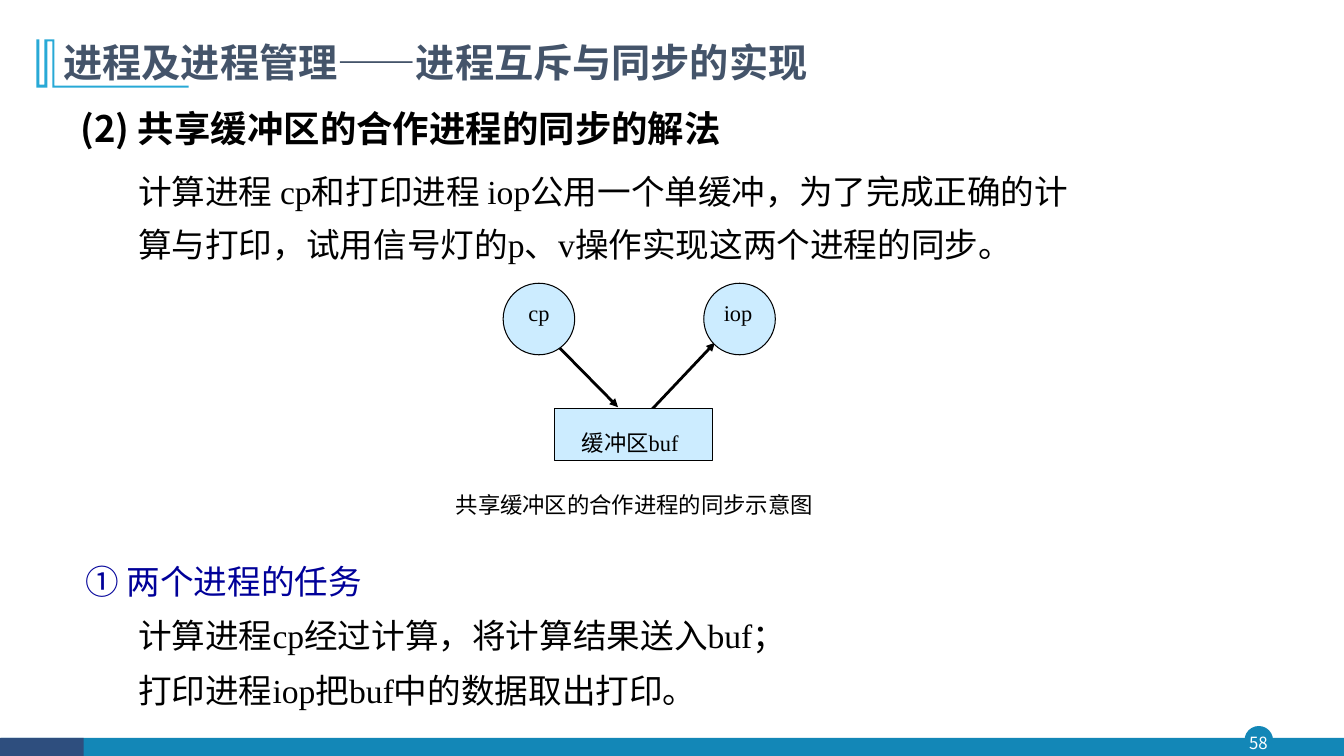
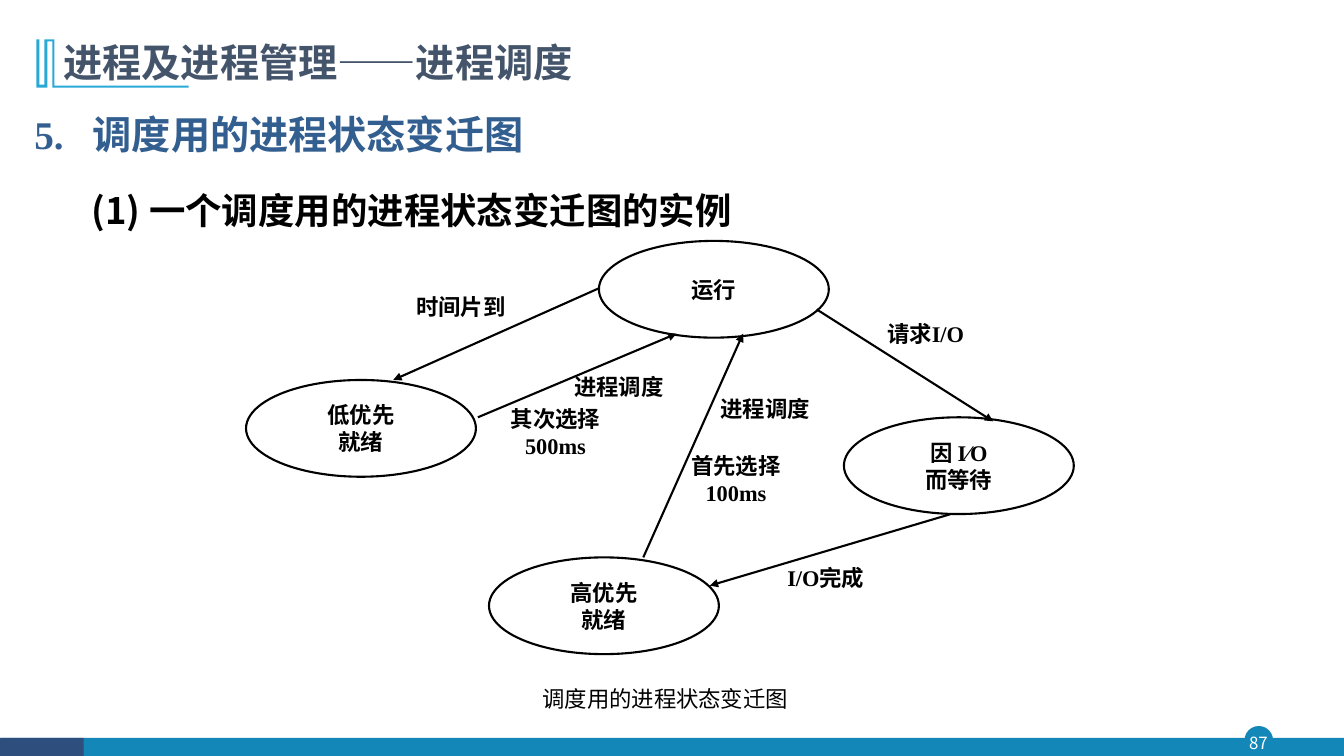
from dataclasses import dataclass

from lxml.etree import SubElement
from pptx import Presentation
from pptx.dml.color import RGBColor
from pptx.enum.shapes import MSO_CONNECTOR, MSO_SHAPE
from pptx.enum.text import MSO_ANCHOR, PP_ALIGN
from pptx.oxml.ns import qn
from pptx.util import Emu, Pt

PX = 9144
SANS, SERIF = "Noto Sans CJK SC", "Times New Roman"


@dataclass(frozen=True)
class Style:
    size: int
    color: str = "000000"
    name: str = SERIF
    bold: bool = False
    pitch: float = 0


@dataclass(frozen=True)
class Theme:
    ink: str = "000000"
    band: str = "1387B7"
    corner: str = "2E4E7E"
    mark: str = "28A9D6"
    pale: str = "CCECFF"
    title: Style = Style(28, "44546A", SANS, True)
    section: Style = Style(28, "335F90", SERIF, True)
    heading: Style = Style(26, "000000", SANS, True)
    body: Style = Style(24, pitch=38)
    task: Style = Style(24, pitch=39)
    task_head: Style = Style(24, "000099", pitch=39)
    label: Style = Style(16)
    label_bold: Style = Style(16, bold=True)
    number: Style = Style(12, "FFFFFF", SANS)


theme = Theme()


def add(s, kind, box, fill=None, line=None, weight=1):
    x, y, w, h = (Emu(v * PX) for v in box)
    if kind is None:
        return s.shapes.add_textbox(x, y, w, h)
    sp = s.shapes.add_shape(kind, x, y, w, h)
    sp.shadow.inherit = False
    if fill:
        sp.fill.solid()
        sp.fill.fore_color.rgb = RGBColor.from_string(fill)
    else:
        sp.fill.background()
    if line:
        sp.line.color.rgb = RGBColor.from_string(line)
        sp.line.width = Pt(weight)
    else:
        sp.line.fill.background()
    return sp


def write(sp, lines, style, align=PP_ALIGN.LEFT, anchor=MSO_ANCHOR.TOP,
          top=0, right=0, wrap=True, margin=0, indent=0):
    tf = sp.text_frame
    frame = dict(word_wrap=wrap, vertical_anchor=anchor, margin_left=0,
                 margin_right=Emu(right * PX), margin_top=Emu(top * PX), margin_bottom=0)
    for key, value in frame.items():
        setattr(tf, key, value)
    for i, text in enumerate(lines):
        p = tf.paragraphs[0] if i == 0 else tf.add_paragraph()
        p.alignment = align
        p.line_spacing = Pt(style.pitch or style.size * 1.2)
        if margin:
            pPr = p._p.get_or_add_pPr()
            pPr.set("marL", str(margin * PX))
            pPr.set("indent", str(indent * PX))
        r = p.add_run()
        r.text = text
        font = dict(size=Pt(style.size), bold=style.bold, name=style.name)
        for key, value in font.items():
            setattr(r.font, key, value)
        r.font.color.rgb = RGBColor.from_string(style.color)
        SubElement(r._r.get_or_add_rPr(), qn("a:ea")).set("typeface", SANS)


prs = Presentation()
prs.slide_width, prs.slide_height = Emu(1333 * PX), Emu(750 * PX)

MARK = [(54, 39), (54, 85), (187, 85), (187, 87), (52, 87), (52, 41), (47, 41),
        (47, 87), (36, 87), (36, 39), (39, 39), (39, 84), (44, 84), (44, 39)]

pages = [
    dict(
        title="进程及进程管理——进程互斥与同步的实现",
        number="58",
        arrows=[(642, 411, 709, 340), (547, 337, 613, 404)],
        weight=2,
        texts=[
            ((80, 105, 980, 44), ["(2) 共享缓冲区的合作进程的同步的解法"], theme.heading),
            ((137, 157, 945, 106),
             ["计算进程 cp和打印进程 iop公用一个单缓冲，为了完成正确的计算与打印，"
              "试用信号灯的p、v操作实现这两个进程的同步。"], theme.body),
            ((85, 542, 780, 54), ["① 两个进程的任务"], theme.task_head),
            ((137, 596, 728, 108),
             ["计算进程cp经过计算，将计算结果送入buf；", "打印进程iop把buf中的数据取出打印。"],
             theme.task),
            ((452, 487, 380, 27), ["共享缓冲区的合作进程的同步示意图"], theme.label),
        ],
    ),
    dict(
        title="进程及进程管理——进程调度",
        number="87",
        arrows=[(943, 510, 704, 581), (594, 286, 390, 377), (810, 307, 985, 418),
                (474, 414, 671, 331), (638, 553, 737, 331)],
        weight=1.5,
        texts=[
            ((91, 187, 752, 44), ["(1) 一个调度用的进程状态变迁图的实例"], theme.heading),
            ((538, 680, 268, 27), ["调度用的进程状态变迁图"], theme.label),
        ],
    ),
]

for page in pages:
    s = prs.slides.add_slide(prs.slide_layouts[6])
    add(s, MSO_SHAPE.OVAL, (1235, 721, 27, 27), theme.band, theme.band)
    add(s, MSO_SHAPE.RECTANGLE, (1, 732, 1332, 18), theme.band)
    add(s, MSO_SHAPE.RECTANGLE, (0, 732, 83, 18), theme.corner)
    write(add(s, None, (1232, 721, 32, 31)), [page["number"]], theme.number,
          PP_ALIGN.CENTER, MSO_ANCHOR.MIDDLE)

    fb = s.shapes.build_freeform(*MARK[0], scale=PX)
    fb.add_line_segments(MARK[1:], close=True)
    sp = fb.convert_to_shape()
    sp.shadow.inherit = False
    sp.fill.solid()
    sp.fill.fore_color.rgb = RGBColor.from_string(theme.mark)
    sp.line.fill.background()

    write(add(s, None, (63, 38, 1029, 47)), [page["title"]], theme.title)
    for box, lines, style in page["texts"]:
        write(add(s, None, box), lines, style)

    for ends in page["arrows"]:
        cx = s.shapes.add_connector(MSO_CONNECTOR.STRAIGHT, *(Emu(v * PX) for v in ends))
        cx.line.color.rgb = RGBColor.from_string(theme.ink)
        cx.line.width = Pt(page["weight"])
        SubElement(cx.line._get_or_add_ln(), qn("a:tailEnd")).set("type", "triangle")
        SubElement(cx._element.spPr, qn("a:effectLst"))

sync, states = prs.slides

nodes = [
    (MSO_SHAPE.RECTANGLE, (550, 405, 157, 52), "缓冲区buf", 21, 7),
    (MSO_SHAPE.OVAL, (698, 281, 71, 71), "iop", 5, 3),
    (MSO_SHAPE.OVAL, (499, 281, 71, 71), "cp", 5, 0),
]
for kind, box, text, top, right in nodes:
    sp = add(sync, kind, box, theme.pale, theme.ink, 0.75)
    write(sp, [text], theme.label, PP_ALIGN.CENTER, top=top, right=right)

write(add(states, None, (34, 109, 698, 47)), ["5.\t调度用的进程状态变迁图"],
      theme.section, margin=58, indent=-58)

ovals = [
    (594, 239, ["运行"]),
    (837, 414, ["因 I∕O", "而等待"]),
    (485, 553, ["高优先", "就绪"]),
    (244, 377, ["低优先", "就绪"]),
]
for x, y, lines in ovals:
    sp = add(states, MSO_SHAPE.OVAL, (x, y, 228, 96), None, theme.ink, 1.5)
    write(sp, lines, theme.label_bold, PP_ALIGN.CENTER, MSO_ANCHOR.MIDDLE)

labels = [
    (457, 291, ["时间片到"]),
    (918, 318, ["请求I/O"]),
    (614, 370, ["进程调度"]),
    (551, 402, ["其次选择", "500ms"]),
    (759, 392, ["进程调度"]),
    (730, 449, ["首先选择", "100ms"]),
    (819, 560, ["I/O完成"]),
]
for center, y, lines in labels:
    sp = add(states, None, (center - 50, y, 100, 27 * len(lines)))
    write(sp, lines, theme.label_bold, PP_ALIGN.CENTER)

prs.save("out.pptx")
